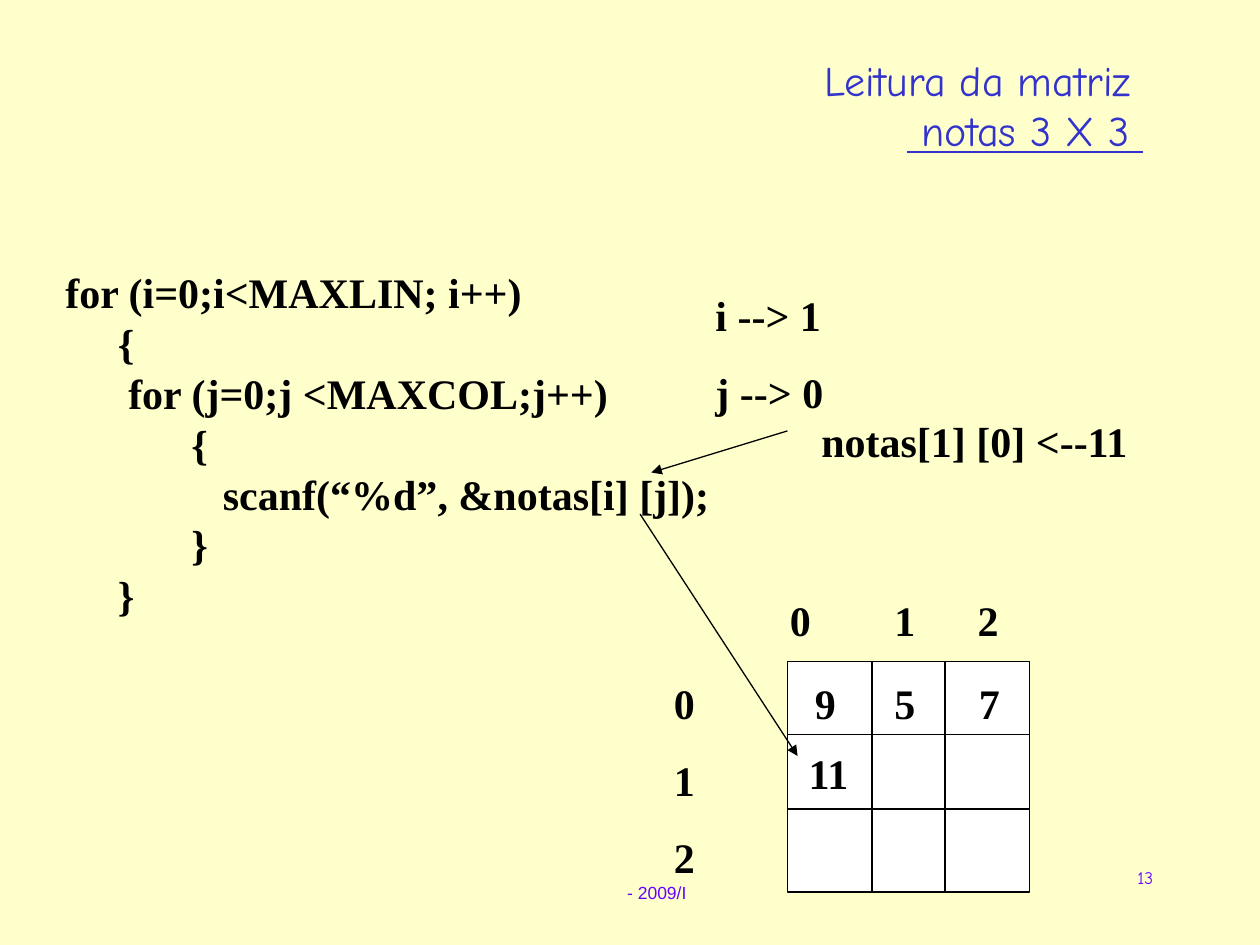
import pptx
import pptx.dml.color
import pptx.enum.shapes
import pptx.enum.text
import pptx.oxml
import pptx.oxml.ns
import pptx.util
from dataclasses import dataclass

Inches, Pt = pptx.util.Inches, pptx.util.Pt
RGB = pptx.dml.color.RGBColor.from_string
ALIGN = pptx.enum.text.PP_ALIGN
NAMESPACE = pptx.oxml.ns.nsdecls("a")


@dataclass
class Theme:
    background: str = "FFFFCC"
    title: str = "3333CC"
    footer: str = "6600FF"
    ink: str = "000000"
    cell: str = "FFFFFF"
    text_size: float = 24
    small_size: float = 10
    leading: float = 28.8
    paragraph_gap: float = 15
    line_width: float = 0.75


theme = Theme()
CODE = {"name": "Times New Roman", "size": Pt(theme.text_size), "bold": True, "color": theme.ink}
TITLE = {"name": "Comic Neue", "size": Pt(theme.text_size), "color": theme.title}
FOOTER = {"name": "Arial", "size": Pt(theme.small_size), "color": theme.footer}
NUMBER = FOOTER | {"name": "Comic Neue"}


def write(frame, lines, style, gap=0, leading=theme.leading, align=ALIGN.LEFT, stops=()):
    """Fill a text frame with one paragraph per line; tab stops are in inches."""
    for index, line in enumerate(lines):
        para = frame.add_paragraph() if index else frame.paragraphs[0]
        layout = {"alignment": align, "space_before": Pt(gap if index else 0)}
        if leading:
            layout["line_spacing"] = Pt(leading)
        for name, value in layout.items():
            setattr(para, name, value)
        if stops:
            tabs = "".join(f'<a:tab pos="{Inches(stop)}" algn="l"/>' for stop in stops)
            para._p.get_or_add_pPr().append(
                pptx.oxml.parse_xml(f"<a:tabLst {NAMESPACE}>{tabs}</a:tabLst>"))
        span = para.add_run()
        span.text = line
        for name, value in style.items():
            if name == "color":
                span.font.color.rgb = RGB(value)
            else:
                setattr(span.font, name, value)


def add_label(place, lines, style, wrap=True, **options):
    """Add a text box at left, top, width, height in inches."""
    box = page.shapes.add_textbox(*map(Inches, place))
    box.text_frame.word_wrap = wrap
    write(box.text_frame, lines, style, **options)


deck = pptx.Presentation()
deck.slide_width, deck.slide_height = Inches(10), Inches(7.5)
page = deck.slides.add_slide(deck.slide_layouts[5])
page.background.fill.solid()
page.background.fill.fore_color.rgb = RGB(theme.background)

# Title, second line indented and underlined
title = page.shapes.title
for name, value in zip(("left", "top", "width", "height"), (6.44, 0.38, 2.76, 0.9)):
    setattr(title, name, Inches(value))
frame = title.text_frame
frame.word_wrap = False
frame.auto_size = pptx.enum.text.MSO_AUTO_SIZE.NONE
frame.vertical_anchor = pptx.enum.text.MSO_ANCHOR.TOP
write(frame, ["Leitura da matriz", " notas 3 X 3 "], TITLE)
second = frame.paragraphs[1]
second.runs[0].font.underline = True
second._p.get_or_add_pPr().set("marL", str(Inches(0.66)))

# Footer and page number
add_label((4.88, 6.95, 0.67, 0.27), ["- 2009/I"], FOOTER, wrap=False, leading=None)
add_label((7.17, 6.83, 2.08, 0.5), ["13"], NUMBER, leading=None, align=ALIGN.RIGHT)

# Code listing
code_lines = [
    "for (i=0;i<MAXLIN; i++)",
    "     {",
    "      for (j=0;j <MAXCOL;j++)",
    "         \t{",
    "     \t   scanf(“%d”, &notas[i] [j]);",
    "\t}",
    "     }",
]
add_label((0.42, 2.07, 5.31, 2.9), code_lines, CODE, wrap=False, stops=(1,))

# Matrix grid
grid_left, grid_top, grid_right, grid_bottom = 6.25, 5.25, 8.17, 7.08
grid = page.shapes.add_shape(
    pptx.enum.shapes.MSO_SHAPE.RECTANGLE, Inches(grid_left), Inches(grid_top),
    Inches(grid_right - grid_left), Inches(grid_bottom - grid_top))
grid.shadow.inherit = False
grid.fill.solid()
grid.fill.fore_color.rgb = RGB(theme.cell)
grid.line.color.rgb = RGB(theme.ink)
grid.line.width = Pt(theme.line_width)

# Grid rules, then arrows from assignment to scanf and from scanf to the cell
rules = [(grid_left, y, grid_right, y) for y in (5.83, 6.42)]
rules += [(x, grid_top, x, grid_bottom) for x in (6.92, 7.5)]
arrows = [(6.25, 3.42, 5.17, 3.75), (5.08, 4.08, 6.33, 6)]
for ends in rules + arrows:
    line = page.shapes.add_connector(pptx.enum.shapes.MSO_CONNECTOR.STRAIGHT, *map(Inches, ends))
    line.line.color.rgb = RGB(theme.ink)
    line.line.width = Pt(theme.line_width)
    if ends in arrows:
        line.line._get_or_add_ln().append(
            pptx.oxml.parse_xml(f'<a:tailEnd {NAMESPACE} type="triangle"/>'))
    line._element.spPr.append(pptx.oxml.parse_xml(f"<a:effectLst {NAMESPACE}/>"))

# Matrix indices: columns on tab stops, rows as spaced paragraphs
add_label((6.17, 4.67, 2, 0.5), ["0\t1\t2"], CODE, stops=(0.83, 1.49))
add_label((5.25, 5.33, 0.5, 1.72), ["0", "1", "2"], CODE, gap=theme.paragraph_gap)

# Matrix values
for left, top, value in ((6.37, 5.33, "9"), (7, 5.33, "5"), (7.67, 5.33, "7"), (6.32, 5.88, "11")):
    add_label((left, top, 0.2 + 0.17 * len(value), 0.5), [value], CODE, wrap=False)

# Loop state and assignment
add_label((5.58, 2.25, 3.92, 1.11), ["i --> 1", "j --> 0"], CODE, gap=theme.paragraph_gap)
add_label((6.42, 3.25, 3.17, 0.5), ["notas[1] [0] <--11"], CODE)

deck.save("out.pptx")
